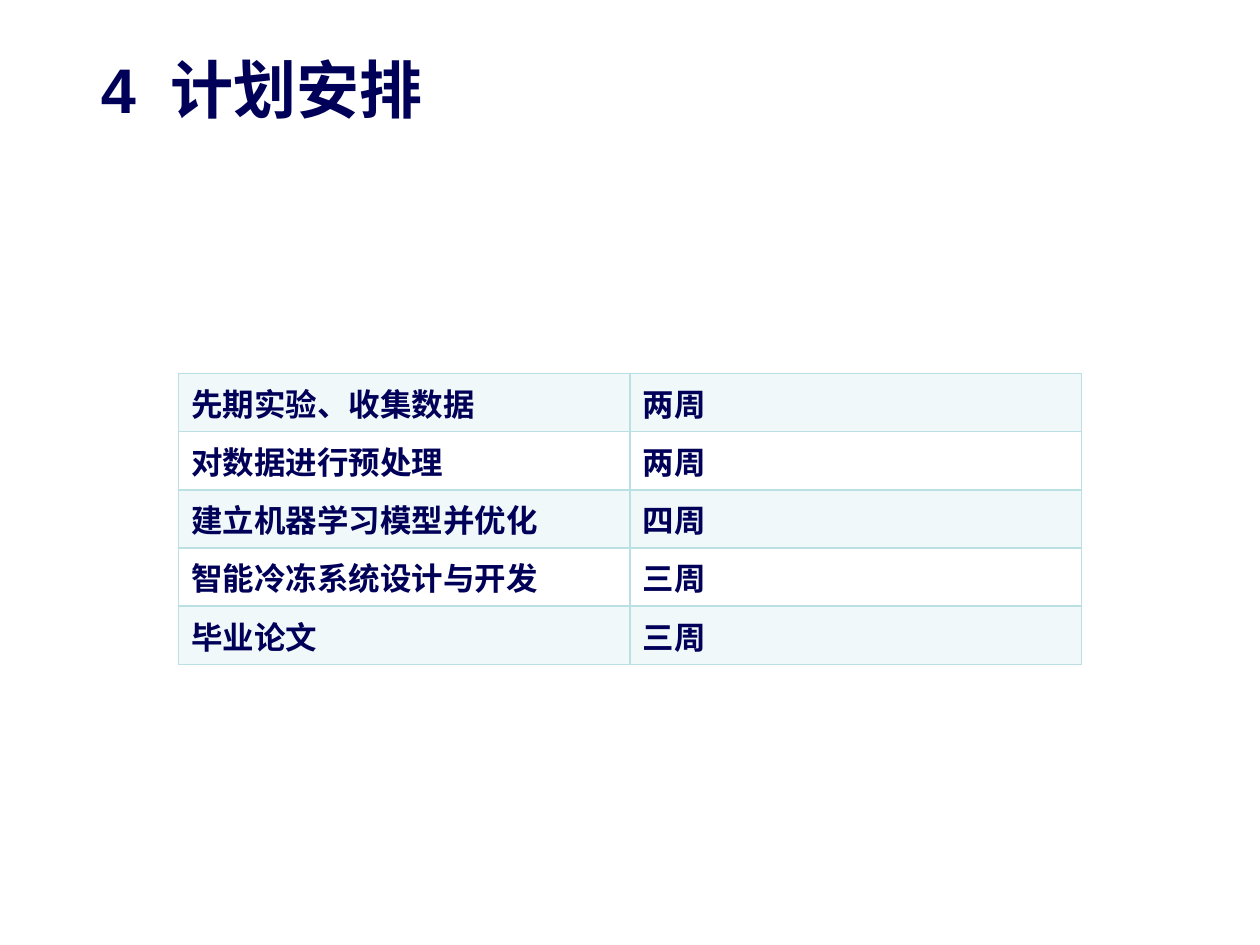
import pptx
import pptx.dml.color
import pptx.enum.text
import pptx.oxml
import pptx.oxml.ns
import pptx.util

Pt = pptx.util.Pt
NS = pptx.oxml.ns.nsdecls("a")
HUES = {"ink": "000058", "teal": "BBE0E3", "back": "FFFFFF"}
PLAN = [
    ("先期实验、收集数据", "两周"),
    ("对数据进行预处理", "两周"),
    ("建立机器学习模型并优化", "四周"),
    ("智能冷冻系统设计与开发", "三周"),
    ("毕业论文", "三周"),
]


def rgb(name):
    return pptx.dml.color.RGBColor.from_string(HUES[name])


def write(para, text, size):
    """Add one bold run in the slide's font and ink colour."""
    run = para.add_run()
    run.text = text
    run.font.name = "Arial"
    run.font.size = Pt(size)
    run.font.bold = True
    run.font.color.rgb = rgb("ink")
    return run


deck = pptx.Presentation()
deck.slide_width, deck.slide_height = Pt(720), Pt(540)
slide = deck.slides.add_slide(deck.slide_layouts[5])
slide.background.fill.solid()
slide.background.fill.fore_color.rgb = rgb("back")

# Title
title = slide.shapes.title
title.left, title.top = Pt(50.4), Pt(22.3)
title.width, title.height = Pt(534.2), Pt(56.9)
frame = title.text_frame
frame.word_wrap = True
frame.auto_size = pptx.enum.text.MSO_AUTO_SIZE.NONE
frame.vertical_anchor = pptx.enum.text.MSO_ANCHOR.MIDDLE
para = frame.paragraphs[0]
para.alignment = pptx.enum.text.PP_ALIGN.LEFT
write(para, "4", 36)
gap = write(para, " ", 36)
gap.font._element.set("spc", "1000")  # widens the space by 10 pt
write(para, "计划安排", 36)

# Schedule table
high = 29.2
shape = slide.shapes.add_table(
    len(PLAN), 2, Pt(102), Pt(213.3), Pt(516), Pt(high * len(PLAN)))
table = shape.table
table.first_row = False
table.horz_banding = False
for col in table.columns:
    col.width = Pt(258)

for r, texts in enumerate(PLAN):
    table.rows[r].height = Pt(high)
    for c, text in enumerate(texts):
        cell = table.cell(r, c)
        write(cell.text_frame.paragraphs[0], text, 18)
        props = cell._tc.get_or_add_tcPr()
        for side in ("lnL", "lnR", "lnT", "lnB"):
            props.append(pptx.oxml.parse_xml(
                f'<a:{side} {NS} w="{Pt(1)}"><a:solidFill>'
                f'<a:srgbClr val="{HUES["teal"]}"/></a:solidFill></a:{side}>'))
        if r % 2:
            cell.fill.background()
        else:
            props.append(pptx.oxml.parse_xml(
                f'<a:solidFill {NS}><a:srgbClr val="{HUES["teal"]}">'
                '<a:alpha val="20000"/></a:srgbClr></a:solidFill>'))

deck.save("out.pptx")
